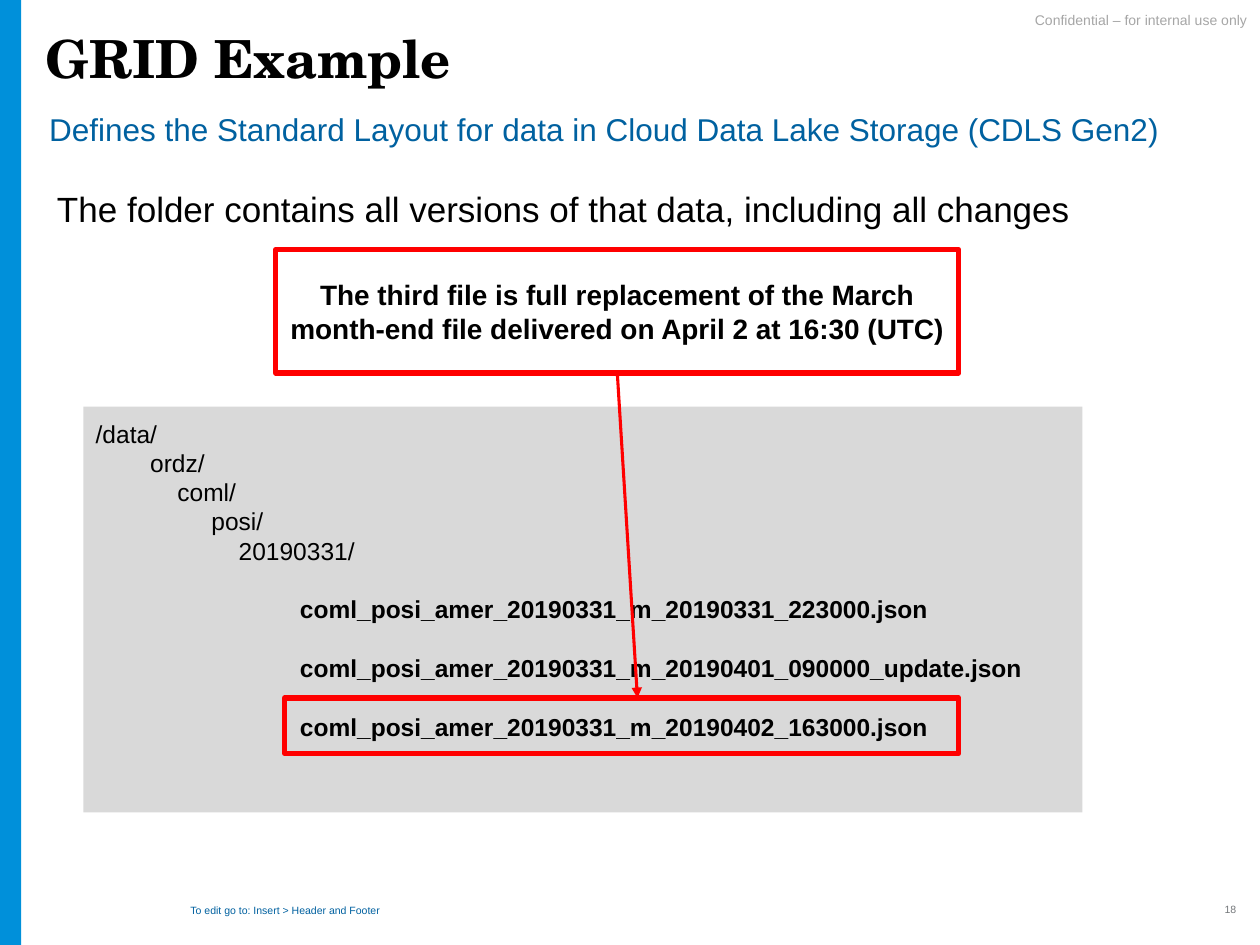
from pptx import Presentation
from pptx.dml.color import RGBColor
from pptx.enum.shapes import MSO_CONNECTOR, MSO_SHAPE
from pptx.enum.text import MSO_ANCHOR, PP_ALIGN
from pptx.oxml.ns import qn
from pptx.util import Cm, Pt
from lxml.etree import SubElement

BLACK = RGBColor(0x00, 0x00, 0x00)
RED = RGBColor(0xFF, 0x00, 0x00)
BLUE = RGBColor(0x00, 0x90, 0xDA)
NAVY = RGBColor(0x00, 0x61, 0xA0)
PANEL = RGBColor(0xD9, 0xD9, 0xD9)
SILVER = RGBColor(0xA6, 0xA6, 0xA6)
GRAY = RGBColor(0x75, 0x78, 0x7B)
LEFT, RIGHT = PP_ALIGN.LEFT, PP_ALIGN.RIGHT
TOP, MID, BOTTOM = MSO_ANCHOR.TOP, MSO_ANCHOR.MIDDLE, MSO_ANCHOR.BOTTOM
WIDE, SLIM = (0.25, 0), (0.18, 0.1)  # side and top insets

# Text boxes: words, place, insets, size, colour, align, anchor, spacing, before
TEXTS = [
    ("Confidential – for internal use only", (17.63, 0.28, 7.77, 0.58),
     WIDE, 8, SILVER, RIGHT, TOP, 0.9, 0),
    ("The folder contains all versions of that data, including all changes",
     (0.97, 3.35, 22.86, 2.57), SLIM, 20, BLACK, LEFT, TOP, 1.4, 7.5),
    ("18", (23.22, 17.83, 1.88, 1.02), SLIM, 6, GRAY, RIGHT, MID, 1, 0),
    ("GRID Example", (0.74, 0.56, 24.36, 1.83),
     SLIM, 30, BLACK, LEFT, TOP, 0.9, 0),
    ("Defines the Standard Layout for data in Cloud Data Lake Storage (CDLS Gen2)",
     (0.74, 2.13, 23.85, 0.86), WIDE, 18, NAVY, LEFT, BOTTOM, 1.4, 7.5),
    ("To edit go to: Insert > Header and Footer", (3.66, 18.14, 8.59, 0.41),
     SLIM, 6, NAVY, LEFT, MID, 1, 0),
]
TITLE = "GRID Example"
NOTE = ("The third file is full replacement of the March month-end file "
        "delivered on April 2 at 16:30 (UTC)")

# Folder tree: name and indent in spaces
FOLDERS = [("/data/", 0), ("ordz/", 8), ("coml/", 12), ("posi/", 17),
           ("20190331/", 21)]
FILES = [
    "coml_posi_amer_20190331_m_20190331_223000.json",
    "coml_posi_amer_20190331_m_20190401_090000_update.json",
    "coml_posi_amer_20190331_m_20190402_163000.json",
]
SPACE, PITCH = 3.89, 16.75  # points: width of a space, height of a line


def cms(place):
    return [Cm(n) for n in place]


def set_frame(frame, insets, anchor):
    frame.word_wrap = True
    frame.vertical_anchor = anchor
    frame.margin_left = frame.margin_right = Cm(insets[0])
    frame.margin_top = frame.margin_bottom = Cm(insets[1])


def style(para, size, color, bold=False, face="Arial"):
    font = para.font
    font.name, font.size, font.bold = face, Pt(size), bold
    font.color.rgb = color


def add_box(place, fill=None, line=None):
    box = slide.shapes.add_shape(MSO_SHAPE.RECTANGLE, *cms(place))
    box.shadow.inherit = False
    if fill is None:
        box.fill.background()
    else:
        box.fill.solid()
        box.fill.fore_color.rgb = fill
    if line is None:
        box.line.fill.background()
    else:
        box.line.color.rgb = line
        box.line.width = Pt(3)
    return box


deck = Presentation()
deck.slide_width, deck.slide_height = Cm(25.4), Cm(19.05)
slide = deck.slides.add_slide(deck.slide_layouts[6])

# Side bar
add_box((0, 0, 0.43, 19.05), fill=BLUE)

# Title, subtitle, lead and footer
for words, place, insets, size, color, align, anchor, gap, before in TEXTS:
    frame = slide.shapes.add_textbox(*cms(place)).text_frame
    set_frame(frame, insets, anchor)
    para = frame.paragraphs[0]
    para.text, para.alignment = words, align
    para.line_spacing, para.space_before = gap, Pt(before)
    head = words == TITLE
    style(para, size, color, head, "TeX Gyre Schola" if head else "Arial")

# Folder tree, with a line's gap before each file
frame = add_box((1.68, 8.2, 20.14, 8.18), fill=PANEL).text_frame
set_frame(frame, (0.25, 0.24), TOP)
rows = [(name, depth, False) for name, depth in FOLDERS]
rows += [(name, 30, True) for name in FILES]
for i, (name, depth, bold) in enumerate(rows):
    para = frame.add_paragraph() if i else frame.paragraphs[0]
    para.text, para.alignment = name, LEFT
    para.line_spacing = Pt(PITCH)
    para.space_before = Pt(PITCH if bold else 0)
    para._p.get_or_add_pPr().set("marL", str(int(Pt(depth * SPACE))))
    style(para, 14, BLACK, bold)

# Frame around the third file, and its note
add_box((5.74, 14.07, 13.59, 1.12), line=RED)
note = add_box((5.56, 5.03, 13.77, 2.49), line=RED)
set_frame(note.text_frame, WIDE, MID)
para = note.text_frame.paragraphs[0]
para.text, para.alignment = NOTE, PP_ALIGN.CENTER
style(para, 16, BLACK, True)

# Arrow from the note to the file
arrow = slide.shapes.add_connector(
    MSO_CONNECTOR.STRAIGHT, *cms((12.45, 7.52, 12.85, 14.07)))
arrow.begin_connect(note, 2)
arrow.line.color.rgb = RED
arrow.line.width = Pt(1.75)
SubElement(arrow.line._get_or_add_ln(), qn("a:tailEnd"), type="triangle")
SubElement(arrow._element.spPr, qn("a:effectLst"))

deck.save("out.pptx")
